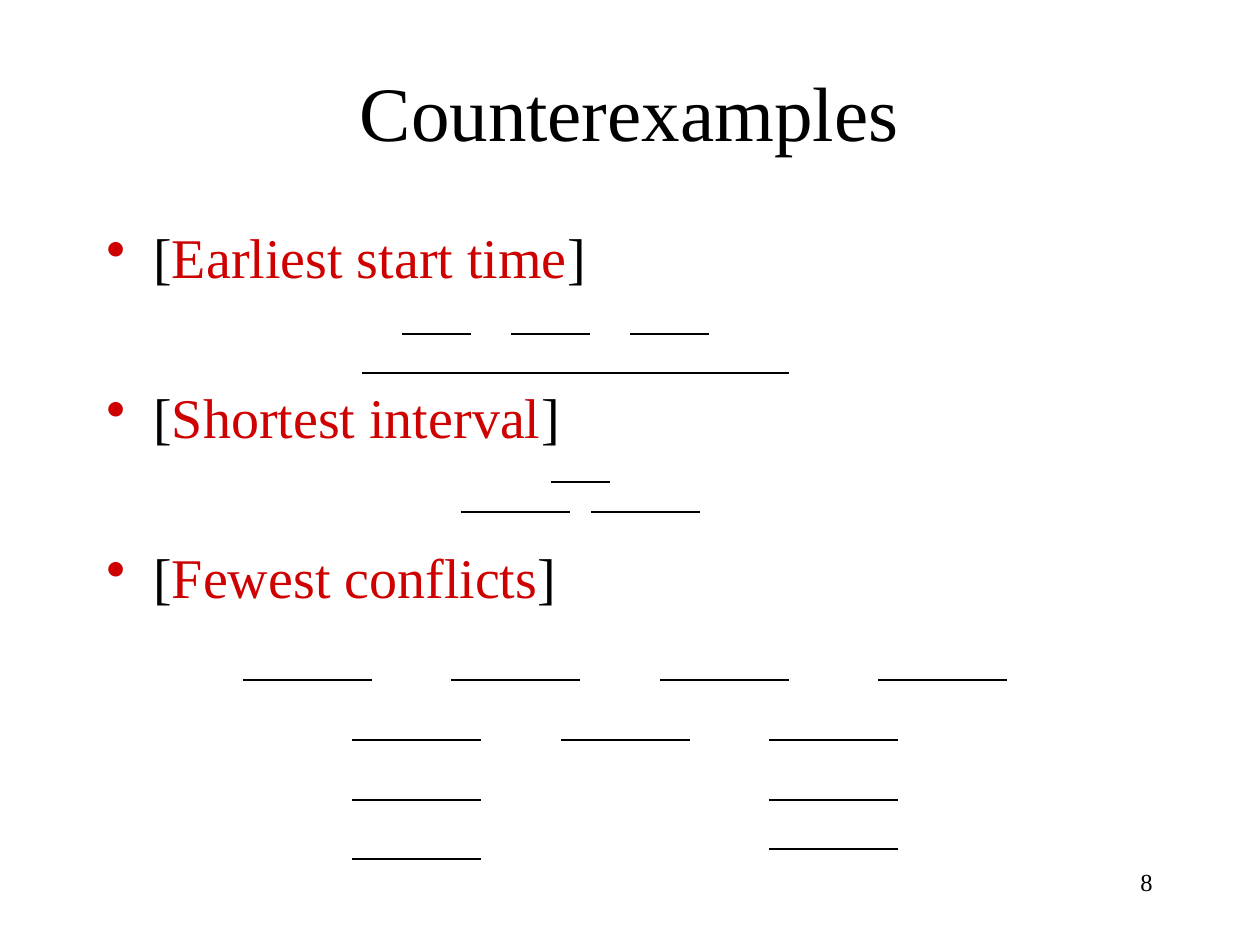
from dataclasses import dataclass

from lxml import etree
from pptx import Presentation
from pptx import util as u
from pptx.dml.color import RGBColor
from pptx.enum import shapes, text
from pptx.oxml.ns import qn

SCALE = u.Inches(1) / 126
FONT = "Times New Roman"
BLACK = RGBColor(0x00, 0x00, 0x00)
RED = RGBColor(0xCE, 0x00, 0x00)


@dataclass
class Box:
    left: int
    top: int
    width: int
    height: int


@dataclass
class Row:
    y: int
    width: int
    lefts: tuple[int, ...]


TOPICS = ("Earliest start time", "Shortest interval", "Fewest conflicts")
ROWS = (
    Row(373, 427, (362,)),
    Row(334, 69, (402,)),
    Row(334, 79, (511, 630)),
    Row(482, 59, (551,)),
    Row(512, 109, (461, 591)),
    Row(680, 129, (243, 451, 660, 878)),
    Row(740, 129, (352, 561, 769)),
    Row(800, 129, (352, 769)),
    Row(859, 129, (352,)),
    Row(849, 129, (769,)),
)


def px(n: int) -> u.Emu:
    return u.Emu(round(n * SCALE))


def style(font, size: int, color: RGBColor) -> None:
    font.name = FONT
    font.size = u.Pt(size)
    font.color.rgb = color


def add_box(slide, box: Box):
    shape = slide.shapes.add_textbox(
        px(box.left), px(box.top), px(box.width), px(box.height))
    shape.text_frame.word_wrap = True
    return shape.text_frame


def add_label(slide, box: Box, words: str, size: int, align) -> None:
    frame = add_box(slide, box)
    frame.text = words
    frame.vertical_anchor = text.MSO_ANCHOR.MIDDLE
    para = frame.paragraphs[0]
    para.alignment = align
    style(para.runs[0].font, size, BLACK)


def add_bullet(para) -> None:
    props = para._p.get_or_add_pPr()
    props.set("marL", str(px(47)))
    props.set("indent", str(-px(47)))
    color = etree.SubElement(props, qn("a:buClr"))
    etree.SubElement(color, qn("a:srgbClr"), val=str(RED))
    etree.SubElement(props, qn("a:buChar"), char="•")


def add_topics(slide, box: Box) -> None:
    frame = add_box(slide, box)
    for i, topic in enumerate(TOPICS):
        para = frame.add_paragraph() if i else frame.paragraphs[0]
        add_bullet(para)
        if i:
            para.space_before = u.Pt(53)
        for words, color in (("[", BLACK), (topic, RED), ("]", BLACK)):
            run = para.add_run()
            run.text = words
            style(run.font, 32, color)


def add_row(slide, row: Row) -> None:
    for left in row.lefts:
        line = slide.shapes.add_connector(
            shapes.MSO_CONNECTOR.STRAIGHT,
            px(left), px(row.y), px(left + row.width), px(row.y))
        line.line.color.rgb = BLACK
        line.line.width = u.Pt(0.75)
        etree.SubElement(line._element.spPr, qn("a:effectLst"))


def main() -> None:
    deck = Presentation()
    deck.slide_width, deck.slide_height = px(1260), px(945)
    slide = deck.slides.add_slide(deck.slide_layouts[6])
    add_label(slide, Box(903, 861, 262, 63), "8", 14, text.PP_ALIGN.RIGHT)
    slide.shapes[0].text_frame.vertical_anchor = text.MSO_ANCHOR.TOP
    add_label(slide, Box(94, 32, 1071, 158), "Counterexamples", 44,
              text.PP_ALIGN.CENTER)
    add_topics(slide, Box(94, 216, 1071, 624))
    for row in ROWS:
        add_row(slide, row)
    deck.save("out.pptx")


if __name__ == "__main__":
    main()
